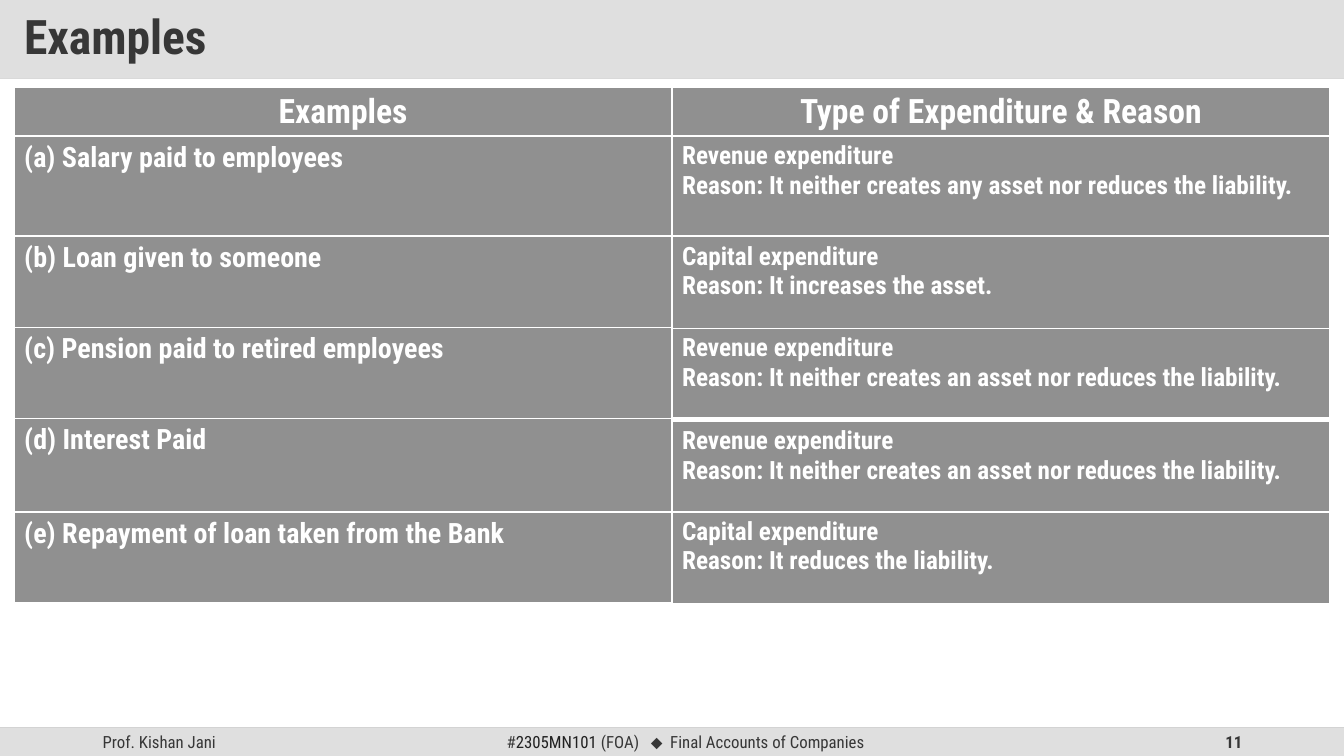
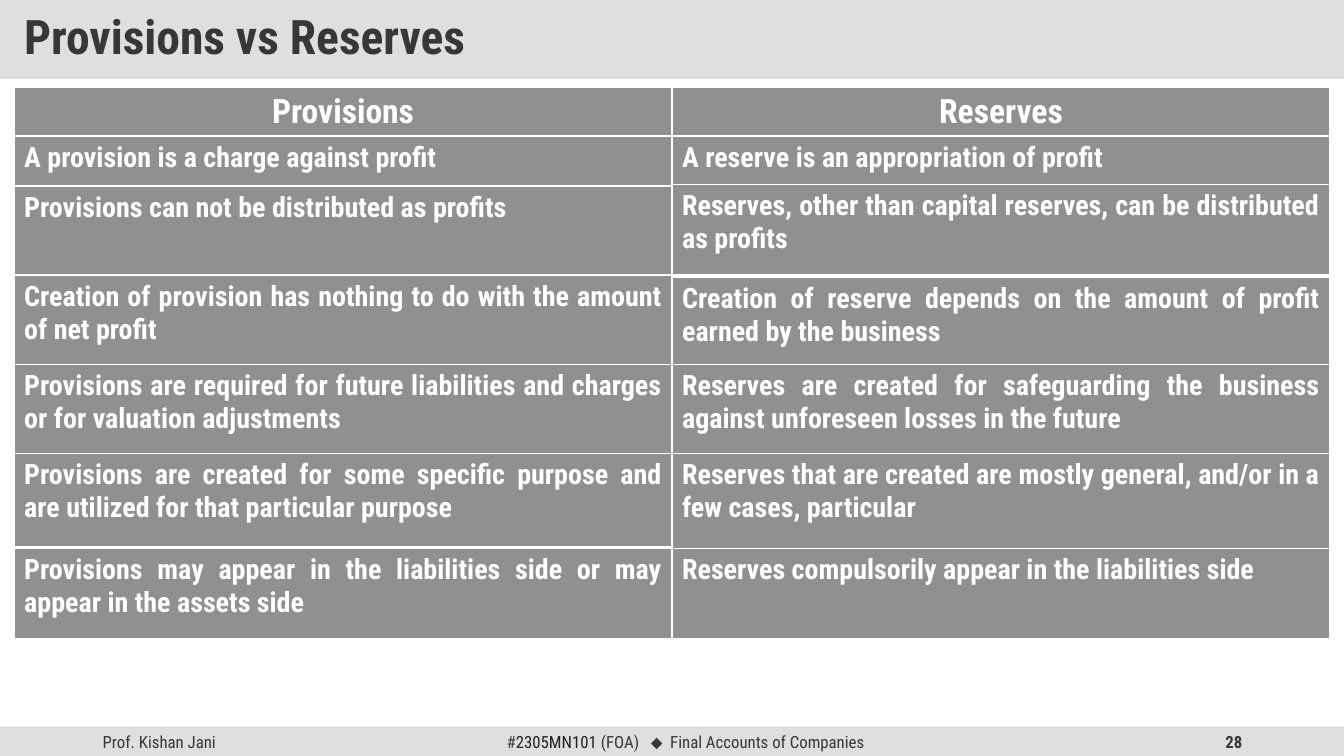
from lxml import etree
from pptx import Presentation
from pptx.dml.color import RGBColor
from pptx.enum.shapes import MSO_CONNECTOR, MSO_SHAPE
from pptx.enum.text import MSO_ANCHOR, MSO_AUTO_SIZE, PP_ALIGN
from pptx.oxml.ns import qn
from pptx.util import Inches, Pt

LEFT, CENTER, RIGHT, JUSTIFY = PP_ALIGN.LEFT, PP_ALIGN.CENTER, PP_ALIGN.RIGHT, PP_ALIGN.JUSTIFY
MIDDLE = MSO_ANCHOR.MIDDLE
NO_AUTOFIT = MSO_AUTO_SIZE.NONE
RECTANGLE = MSO_SHAPE.RECTANGLE
STRAIGHT = MSO_CONNECTOR.STRAIGHT

WHITE = RGBColor(0xFF, 0xFF, 0xFF)
DARK = RGBColor(0x37, 0x37, 0x37)
NEAR_BLACK = RGBColor(0x21, 0x21, 0x21)
CELL_GRAY = RGBColor(0x90, 0x90, 0x90)
TITLE_GRAY = RGBColor(0xC0, 0xC0, 0xC0)
FOOTER_GRAY = RGBColor(0xDF, 0xDF, 0xDF)
TITLE_RULE = RGBColor(0xD9, 0xD9, 0xD9)
FOOTER_RULE = RGBColor(0xBF, 0xBF, 0xBF)

FONT = "Roboto Condensed"
SYMBOL_FONT = "Arial"
SLIDE_WIDTH, SLIDE_HEIGHT = 13.33, 7.5
TITLE_HEIGHT = 0.78
FOOTER_HEIGHT = 0.28
FOOTER_TOP = SLIDE_HEIGHT - FOOTER_HEIGHT
TABLE_BOX = (0.14, 0.87, 13.05)  # left, top, width
HEADER_HEIGHT = 0.5
BORDER_WIDTHS = {"lnL": 1, "lnR": 1, "lnT": 1, "lnB": 3}

FOOTER_RUNS = [
    ("#", FONT, DARK),
    ("2305MN101 ", FONT, NEAR_BLACK),
    ("(FOA)   ", FONT, DARK),
    ("⬥", SYMBOL_FONT, DARK),
    ("  Final Accounts of Companies", FONT, DARK),
]

# Each column lists its cells as (offset below the table box's top, height, text).
EXAMPLES = [
    (0.48, 1, "(a) Salary paid to employees"),
    (1.48, 1, "(b) Loan given to someone"),
    (2.38, 1, "(c) Pension paid to retired employees"),
    (3.28, 0.94, "(d) Interest Paid"),
    (4.21, 0.91, "(e) Repayment of loan taken from the Bank"),
]
NO_CHANGE = "Revenue expenditure\nReason: It neither creates an asset nor reduces the liability."
REASONS = [
    (0.48, 1, "Revenue expenditure\nReason: It neither creates any asset nor reduces the liability."),
    (1.48, 0.92, "Capital expenditure\nReason: It increases the asset."),
    (2.39, 0.9, NO_CHANGE),
    (3.31, 0.92, NO_CHANGE),
    (4.21, 0.92, "Capital expenditure\nReason: It reduces the liability."),
]
PROVISIONS = [
    (0.48, 0.5, "A provision is a charge against profit"),
    (0.98, 0.89, "Provisions can not be distributed as profits"),
    (1.86, 0.93, "Creation of provision has nothing to do with the amount of net profit"),
    (2.75, 0.98, "Provisions are required for future liabilities and charges or for valuation adjustments"),
    (3.63, 0.94, "Provisions are created for some specific purpose and are utilized for that particular purpose"),
    (4.57, 0.91, "Provisions may appear in the liabilities side or may appear in the assets side"),
]
RESERVES = [
    (0.48, 0.51, "A reserve is an appropriation of profit"),
    (0.96, 0.91, "Reserves, other than capital reserves, can be distributed as profits"),
    (1.88, 0.91, "Creation of reserve depends on the amount of profit earned by the business"),
    (2.75, 0.9, "Reserves are created for safeguarding the business against unforeseen losses in the future"),
    (3.63, 0.95, "Reserves that are created are mostly general, and/or in a few cases, particular"),
    (4.57, 0.91, "Reserves compulsorily appear in the liabilities side"),
]


def set_font(font, size, color, bold=False, name=FONT):
    font.name, font.size, font.bold = name, Pt(size), bold
    font.color.rgb = color


def set_opacity(shape, percent):
    """Make the shape's first colour partly transparent."""
    color = shape.element.spPr.find(".//" + qn("a:srgbClr"))
    etree.SubElement(color, qn("a:alpha")).set("val", str(percent * 1000))


def add_rule(slide, top, color):
    rule = slide.shapes.add_connector(STRAIGHT, 0, Inches(top), Inches(SLIDE_WIDTH), Inches(top))
    rule.line.color.rgb = color
    rule.line.width = Pt(1)
    etree.SubElement(rule.element.spPr, qn("a:effectLst"))
    return rule


def format_title(slide, text):
    title = slide.shapes.title
    title.left, title.top = 0, 0
    title.width, title.height = Inches(SLIDE_WIDTH), Inches(TITLE_HEIGHT)
    title.fill.solid()
    title.fill.fore_color.rgb = TITLE_GRAY
    set_opacity(title, 50)
    frame = title.text_frame
    frame.text = text
    frame.auto_size = NO_AUTOFIT
    frame.vertical_anchor = MIDDLE
    frame.margin_left = frame.margin_right = Inches(0.24)
    frame.margin_top = frame.margin_bottom = Inches(0.12)
    paragraph = frame.paragraphs[0]
    paragraph.alignment = LEFT
    paragraph.line_spacing = 0.9
    set_font(paragraph.font, 34, DARK, bold=True)
    add_rule(slide, TITLE_HEIGHT, TITLE_RULE)


def add_footer_text(slide, left, width, alignment):
    box = slide.shapes.add_textbox(Inches(left), Inches(FOOTER_TOP), Inches(width), Inches(FOOTER_HEIGHT))
    box.text_frame.word_wrap = True
    box.text_frame.vertical_anchor = MIDDLE
    paragraph = box.text_frame.paragraphs[0]
    paragraph.alignment = alignment
    return paragraph


def add_footer(slide, number):
    set_opacity(add_rule(slide, FOOTER_TOP, FOOTER_RULE), 70)
    band = slide.shapes.add_shape(
        RECTANGLE, 0, Inches(FOOTER_TOP), Inches(SLIDE_WIDTH), Inches(FOOTER_HEIGHT))
    band.shadow.inherit = False
    band.fill.solid()
    band.fill.fore_color.rgb = FOOTER_GRAY
    band.line.fill.background()

    for left, alignment, text, bold in (
        (0.92, LEFT, "Prof. Kishan Jani", False),
        (9.42, RIGHT, str(number), True),
    ):
        paragraph = add_footer_text(slide, left, 3, alignment)
        paragraph.add_run().text = text
        set_font(paragraph.font, 12, DARK, bold)

    course = add_footer_text(slide, 4.18, 5.24, CENTER)
    for text, name, color in FOOTER_RUNS:
        run = course.add_run()
        run.text = text
        set_font(run.font, 12, color, name=name)


def format_cell(cell, text, size, alignment):
    properties = cell._tc.get_or_add_tcPr()
    for side, width in BORDER_WIDTHS.items():
        border = etree.SubElement(properties, qn("a:" + side), w=str(Pt(width)))
        fill = etree.SubElement(border, qn("a:solidFill"))
        etree.SubElement(fill, qn("a:srgbClr"), val=str(WHITE))
    cell.fill.solid()
    cell.fill.fore_color.rgb = CELL_GRAY
    cell.text_frame.text = text
    for paragraph in cell.text_frame.paragraphs:
        paragraph.alignment = alignment
        set_font(paragraph.font, size, WHITE, bold=True)


def add_row(slide, left, top, width, height, texts, size, alignment):
    """Add a table of one row with equal columns."""
    table = slide.shapes.add_table(
        1, len(texts), Inches(left), Inches(top), Inches(width), Inches(height)).table
    table.first_row = table.horz_banding = False
    for cell, text in zip(table.rows[0].cells, texts):
        format_cell(cell, text, size, alignment)


def add_comparison(slide, box, headings, columns, sizes, alignment):
    """Fill the box with a heading row and separate cells below each heading."""
    left, top, width = box
    add_row(slide, left, top, width, HEADER_HEIGHT, headings, 24, CENTER)
    column_width = width / len(columns)
    for index, (cells, size) in enumerate(zip(columns, sizes)):
        for offset, height, text in cells:
            add_row(slide, left + index * column_width, top + offset,
                    column_width, height, [text], size, alignment)


def add_comparison_slide(presentation, title, number, headings, columns, sizes, alignment):
    slide = presentation.slides.add_slide(presentation.slide_layouts[5])
    format_title(slide, title)
    add_footer(slide, number)
    add_comparison(slide, TABLE_BOX, headings, columns, sizes, alignment)


def main():
    presentation = Presentation()
    presentation.slide_width = Inches(SLIDE_WIDTH)
    presentation.slide_height = Inches(SLIDE_HEIGHT)
    add_comparison_slide(
        presentation, "Examples", 11, ["Examples", "Type of Expenditure & Reason"],
        [EXAMPLES, REASONS], [20, 18], LEFT)
    add_comparison_slide(
        presentation, "Provisions vs Reserves", 28, ["Provisions", "Reserves"],
        [PROVISIONS, RESERVES], [20, 20], JUSTIFY)
    presentation.save("out.pptx")


if __name__ == "__main__":
    main()
